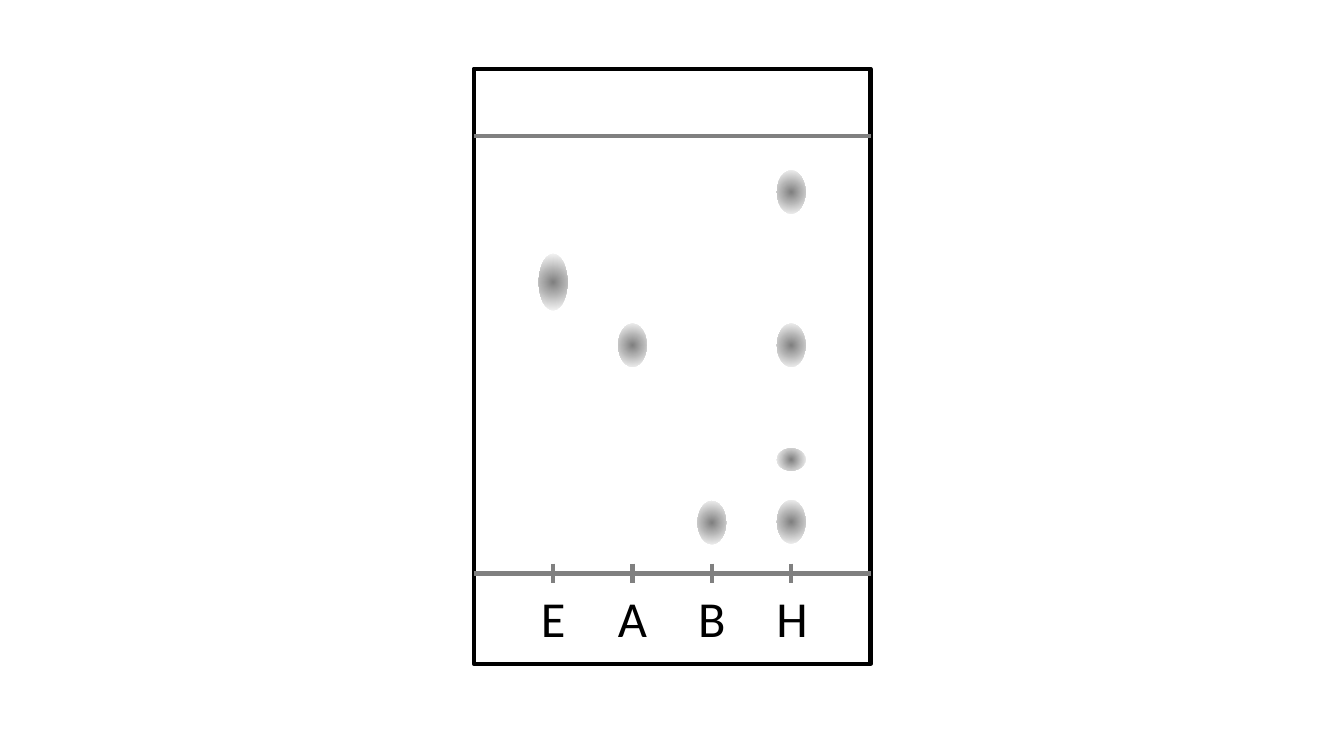
import dataclasses

import pptx
import pptx.dml.color
import pptx.enum.shapes
import pptx.enum.text
import pptx.oxml
import pptx.oxml.ns
import pptx.util
from pptx.util import Cm

RGB = pptx.dml.color.RGBColor
SHAPE = pptx.enum.shapes.MSO_SHAPE


@dataclasses.dataclass(frozen=True)
class Theme:
    ink: RGB = RGB(0, 0, 0)
    pencil: RGB = RGB(0x80, 0x80, 0x80)
    paper: RGB = RGB(0xFF, 0xFF, 0xFF)
    font: str = "Calibri"
    label_size: pptx.util.Pt = pptx.util.Pt(36)
    stroke: pptx.util.Pt = pptx.util.Pt(3)


THEME = Theme()

# Plate geometry in cm
PLATE_LEFT, PLATE_TOP = 11.94, 1.73
PLATE_WIDTH, PLATE_HEIGHT = 10, 15
FRONT_Y, BASELINE_Y = 3.43, 14.45
LANE_STEP = 2
TICK_REACH = 0.25
SPOT_WIDTH = 0.72
LABEL_TOP, LABEL_WIDTH, LABEL_HEIGHT = 14.68, 1.25, 1.8

# Each lane: name and its spots as (centre y, height) in cm
LANES = [
    ("E", [(7.11, 1.42)]),
    ("A", [(8.7, 1.09)]),
    ("B", [(13.17, 1.09)]),
    ("H", [(4.84, 1.09), (8.7, 1.09), (11.58, 0.56), (13.15, 1.09)]),
]


def add_plate(chromatogram):
    plate = chromatogram.shapes.add_shape(
        SHAPE.RECTANGLE, Cm(PLATE_LEFT), Cm(PLATE_TOP),
        Cm(PLATE_WIDTH), Cm(PLATE_HEIGHT))
    plate.shadow.inherit = False
    plate.fill.background()
    plate.line.color.rgb = THEME.ink
    plate.line.width = THEME.stroke


def add_pencil_line(chromatogram, x1, y1, x2, y2):
    mark = chromatogram.shapes.add_connector(
        pptx.enum.shapes.MSO_CONNECTOR.STRAIGHT,
        Cm(x1), Cm(y1), Cm(x2), Cm(y2))
    mark.line.color.rgb = THEME.pencil
    mark.line.width = THEME.stroke
    mark._element.spPr.append(pptx.oxml.parse_xml(
        f'<a:effectLst {pptx.oxml.ns.nsdecls("a")}/>'))


def add_spot(chromatogram, x, y, height):
    spot = chromatogram.shapes.add_shape(
        SHAPE.OVAL, Cm(x - SPOT_WIDTH / 2), Cm(y - height / 2),
        Cm(SPOT_WIDTH), Cm(height))
    spot.shadow.inherit = False
    spot.line.fill.background()
    spot.fill.gradient()
    for stop, color in zip(spot.fill.gradient_stops, (THEME.pencil, THEME.paper)):
        stop.color.rgb = color
    # Fade outwards from the centre
    linear = spot._element.spPr.find(".//" + pptx.oxml.ns.qn("a:lin"))
    linear.getparent().replace(linear, pptx.oxml.parse_xml(
        f'<a:path {pptx.oxml.ns.nsdecls("a")} path="circle">'
        '<a:fillToRect l="50000" t="50000" r="50000" b="50000"/></a:path>'))


def add_lane_label(chromatogram, name, x):
    label = chromatogram.shapes.add_textbox(
        Cm(x - LABEL_WIDTH / 2), Cm(LABEL_TOP), Cm(LABEL_WIDTH), Cm(LABEL_HEIGHT))
    frame = label.text_frame
    frame.word_wrap = False
    frame.auto_size = pptx.enum.text.MSO_AUTO_SIZE.SHAPE_TO_FIT_TEXT
    frame.text = name
    letter = frame.paragraphs[0]
    letter.alignment = pptx.enum.text.PP_ALIGN.CENTER
    letter.font.name = THEME.font
    letter.font.size = THEME.label_size
    letter.font.color.rgb = THEME.ink


def main():
    deck = pptx.Presentation()
    deck.slide_width, deck.slide_height = Cm(33.87), Cm(19.05)
    slide = deck.slides.add_slide(deck.slide_layouts[6])
    chromatogram = slide.shapes.add_group_shape()

    # Plate with solvent front and baseline
    add_plate(chromatogram)
    for y in (FRONT_Y, BASELINE_Y):
        add_pencil_line(chromatogram, PLATE_LEFT, y, PLATE_LEFT + PLATE_WIDTH, y)

    # Lanes with tick, label and spots
    for number, (name, spots) in enumerate(LANES, start=1):
        x = PLATE_LEFT + number * LANE_STEP
        add_pencil_line(chromatogram, x, BASELINE_Y - TICK_REACH,
                        x, BASELINE_Y + TICK_REACH)
        add_lane_label(chromatogram, name, x)
        for y, height in spots:
            add_spot(chromatogram, x, y, height)

    deck.save("out.pptx")


if __name__ == "__main__":
    main()
